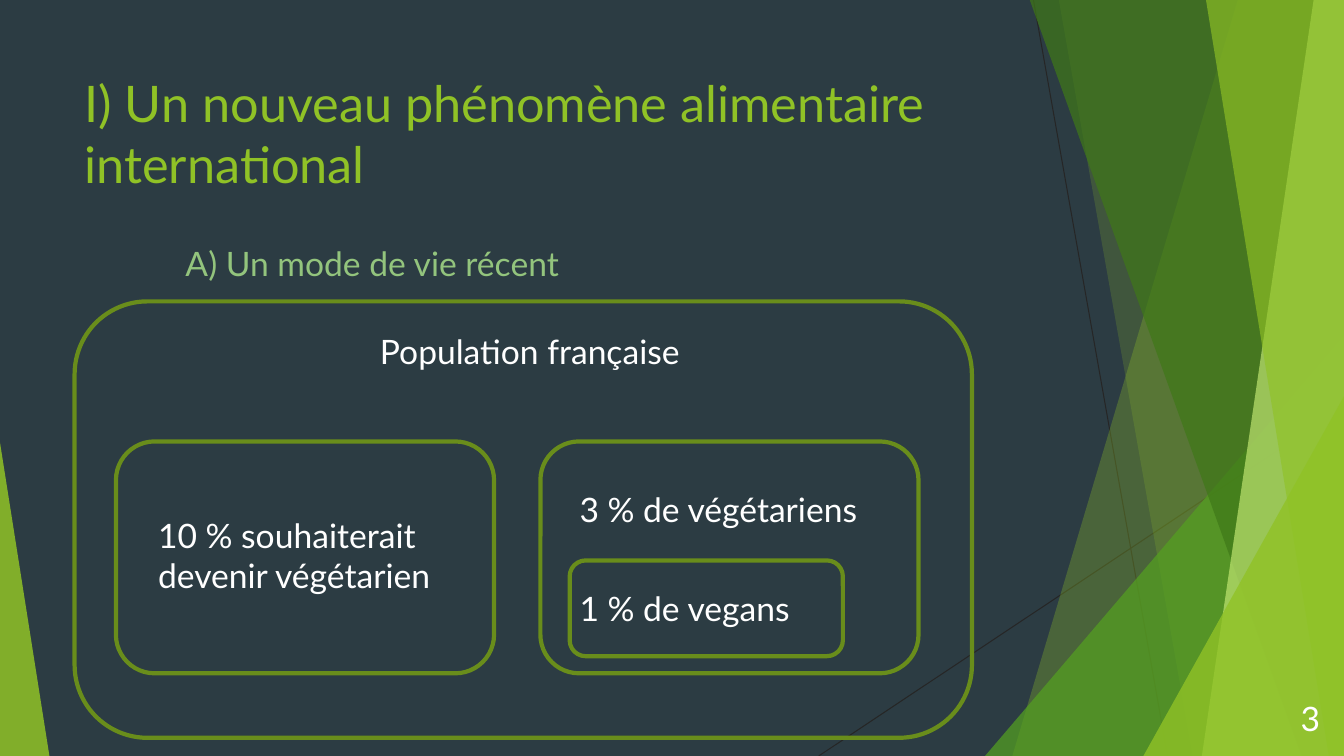
from lxml import etree
from pptx import Presentation
from pptx.dml.color import RGBColor
from pptx.enum.shapes import MSO_CONNECTOR, MSO_SHAPE
from pptx.enum.text import MSO_ANCHOR, PP_ALIGN
from pptx.oxml.ns import qn
from pptx.util import Inches, Pt

LINE = MSO_CONNECTOR.STRAIGHT
ROUND = MSO_SHAPE.ROUNDED_RECTANGLE
WEDGE = MSO_SHAPE.ISOSCELES_TRIANGLE
TOP, MIDDLE = MSO_ANCHOR.TOP, MSO_ANCHOR.MIDDLE
LEFT, RIGHT = PP_ALIGN.LEFT, PP_ALIGN.RIGHT

SLATE = RGBColor(0x2C, 0x3C, 0x43)
LIME = RGBColor(0x90, 0xC2, 0x26)
GREEN = RGBColor(0x54, 0xA0, 0x21)
FOREST = RGBColor(0x3F, 0x78, 0x18)
PALE = RGBColor(0xBF, 0xE4, 0x71)
OLIVE = RGBColor(0x69, 0x8D, 0x1B)
SAGE = RGBColor(0x93, 0xC4, 0x7D)
WHITE = RGBColor(0xFF, 0xFF, 0xFF)
DARK = RGBColor(0x26, 0x26, 0x26)

WIDE, HIGH = 13.33, 7.5


class Page:
    font = "Lato"

    def __init__(self, slide):
        self.slide = slide
        self.shapes = slide.shapes
        slide.background.fill.solid()
        slide.background.fill.fore_color.rgb = SLATE

    def tint(self, shape, color, alpha):
        """Fill a shape with a see-through colour, without an outline."""
        shape.shadow.inherit = False
        shape.line.fill.background()
        shape.fill.solid()
        shape.fill.fore_color.rgb = color
        node = shape.fill._xPr.find(qn("a:solidFill"))[0]
        etree.SubElement(node, qn("a:alpha")).set("val", str(alpha * 1000))

    def line(self, x1, y1, x2, y2):
        line = self.shapes.add_connector(
            LINE, Inches(x1), Inches(y1), Inches(x2), Inches(y2))
        line.line.color.rgb = DARK
        line.line.width = Pt(0.75)
        etree.SubElement(line._element.spPr, qn("a:effectLst"))

    def slat(self, top, base, color, alpha):
        """Full-height band from a slanted left side to the right edge."""
        points = [(WIDE, -0.01), (WIDE, HIGH), (base, HIGH)]
        form = self.shapes.build_freeform(Inches(top), Inches(-0.01))
        form.add_line_segments([(Inches(x), Inches(y)) for x, y in points])
        self.tint(form.convert_to_shape(), color, alpha)

    def wedge(self, x, w, h, peak, color, alpha):
        """Triangle that stands on the bottom edge."""
        shape = self.shapes.add_shape(
            WEDGE, Inches(x), Inches(HIGH - h), Inches(w), Inches(h))
        shape.adjustments[0] = peak
        self.tint(shape, color, alpha)

    def frame(self, x, y, w, h):
        shape = self.shapes.add_shape(
            ROUND, Inches(x), Inches(y), Inches(w), Inches(h))
        shape.shadow.inherit = False
        shape.fill.background()
        shape.line.color.rgb = OLIVE
        shape.line.width = Pt(3)

    def text(self, text, x, y, w, h, size=24, color=WHITE,
             align=LEFT, anchor=TOP, inset=0.1):
        box = self.shapes.add_textbox(
            Inches(x), Inches(y), Inches(w), Inches(h)).text_frame
        box.word_wrap = True
        box.vertical_anchor = anchor
        box.margin_left = Inches(inset)
        box.text = text
        para = box.paragraphs[0]
        para.alignment = align
        para.font.name = self.font
        para.font.size = Pt(size)
        para.font.color.rgb = color


def main():
    deck = Presentation()
    deck.slide_width, deck.slide_height = Inches(WIDE), Inches(HIGH)
    page = Page(deck.slides.add_slide(deck.slide_layouts[6]))

    # Green facets along the edges
    page.line(10.25, 0, 11.58, HIGH)
    page.line(WIDE, 4.03, 8.12, HIGH)
    page.slat(12.28, 10.04, LIME, 30)
    page.slat(10.5, 11.83, LIME, 20)
    page.wedge(9.77, 3.56, 4.17, 1, GREEN, 72)
    page.slat(10.21, 12.91, FOREST, 70)
    page.slat(13.03, 11.92, PALE, 70)
    page.slat(11.96, 13.18, LIME, 65)
    page.wedge(11.34, 1.99, 3.57, 1, LIME, 80)
    page.wedge(0, 0.49, 3.11, 0, LIME, 85)

    # Headings
    page.text("I) Un nouveau phénomène alimentaire international",
              0.74, 0.67, 9.4, 1.44, size=36, color=LIME)
    page.text("A) Un mode de vie récent",
              0.74, 2.36, 9.4, 4.24, color=SAGE, inset=1.1)

    # Whole population
    page.frame(0.74, 2.99, 8.9, 4.33)
    page.text("Population française", 3.67, 3.23, 3.54, 0.58)

    # Groups within it
    for x in (1.15, 5.36):
        page.frame(x, 4.38, 3.75, 2.3)
    page.frame(5.65, 5.56, 2.71, 0.95)
    for text, x, y in (("10 % souhaiterait devenir végétarien", 1.47, 5.06),
                       ("3 % de végétariens", 5.65, 4.8),
                       ("1 % de vegans", 5.65, 5.78)):
        page.text(text, x, y, 3.54, 0.95)

    # Slide number
    page.text("3", 12.44, 6.92, 0.75, 0.4, align=RIGHT, anchor=MIDDLE)

    deck.save("out.pptx")


if __name__ == "__main__":
    main()
